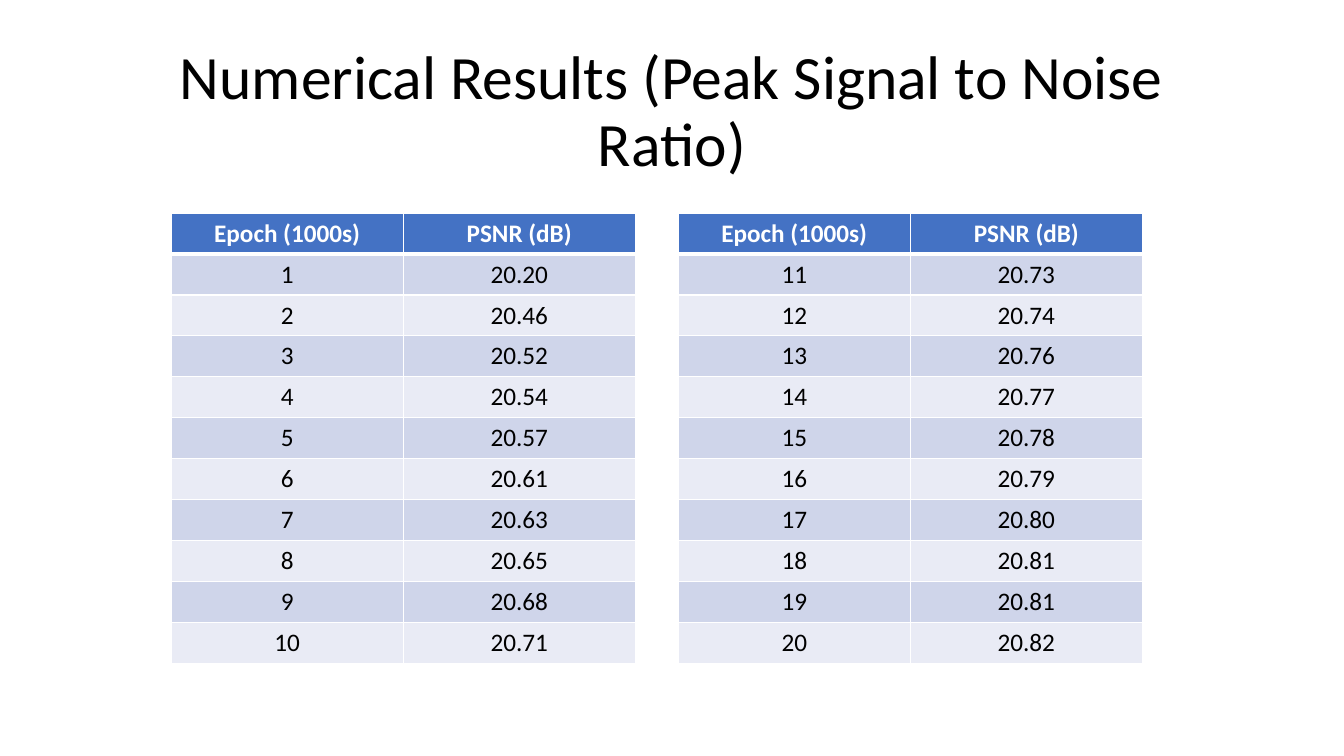
from dataclasses import dataclass

from lxml.etree import SubElement
from pptx import Presentation
from pptx.dml.color import RGBColor
from pptx.enum.text import MSO_ANCHOR, MSO_AUTO_SIZE, PP_ALIGN
from pptx.oxml.ns import qn
from pptx.util import Emu, Pt

FONT = "Calibri"
BLACK, WHITE = "000000", "FFFFFF"
HEADER_FILL = "4472C4"
BAND_FILLS = ("CFD5EA", "E9EBF5")
HEADINGS = ("Epoch (1000s)", "PSNR (dB)")
TABLE_TOP, COLUMN_WIDTH, ROW_HEIGHT = 203, 221, 39


@dataclass(frozen=True)
class EpochTable:
    left: int
    first_epoch: int
    psnr: tuple[str, ...]


EPOCH_TABLES = (
    EpochTable(163, 1, ("20.20", "20.46", "20.52", "20.54", "20.57",
                        "20.61", "20.63", "20.65", "20.68", "20.71")),
    EpochTable(646, 11, ("20.73", "20.74", "20.76", "20.77", "20.78",
                         "20.79", "20.80", "20.81", "20.81", "20.82")),
)


def px(length: int) -> Emu:
    return Emu(length * 9525)


def color(hex_code: str) -> RGBColor:
    return RGBColor.from_string(hex_code)


def format_text(paragraph, size: int, text_color: str, bold: bool = False) -> None:
    paragraph.alignment = PP_ALIGN.CENTER
    for run in paragraph.runs:
        run.font.name = FONT
        run.font.size = Pt(size)
        run.font.bold = bold
        run.font.color.rgb = color(text_color)


def add_borders(cell, top: int, bottom: int) -> None:
    """Draw white borders, with the top and bottom widths in points."""
    properties = cell._tc.get_or_add_tcPr()
    for side, width in (("L", 1), ("R", 1), ("T", top), ("B", bottom)):
        border = SubElement(properties, qn(f"a:ln{side}"), w=str(Pt(width)))
        fill = SubElement(border, qn("a:solidFill"))
        SubElement(fill, qn("a:srgbClr"), val=WHITE)


def add_title(slide, text: str) -> None:
    title = slide.shapes.title
    title.left, title.top = px(88), px(38)
    title.width, title.height = px(1104), px(139)
    frame = title.text_frame
    frame.text = text
    frame.word_wrap = True
    frame.auto_size = MSO_AUTO_SIZE.NONE
    frame.vertical_anchor = MSO_ANCHOR.MIDDLE
    frame.paragraphs[0].line_spacing = 0.9
    format_text(frame.paragraphs[0], 44, BLACK)


def add_epoch_table(slide, epochs: EpochTable) -> None:
    numbered = enumerate(epochs.psnr, epochs.first_epoch)
    rows = [HEADINGS, *((str(epoch), psnr) for epoch, psnr in numbered)]
    table = slide.shapes.add_table(
        len(rows), len(HEADINGS), px(epochs.left), px(TABLE_TOP),
        px(COLUMN_WIDTH * len(HEADINGS)), px(ROW_HEIGHT * len(rows))).table
    for column in table.columns:
        column.width = px(COLUMN_WIDTH)
    for row_index, values in enumerate(rows):
        is_header = row_index == 0
        table.rows[row_index].height = px(ROW_HEIGHT)
        fill = HEADER_FILL if is_header else BAND_FILLS[(row_index - 1) % 2]
        for column_index, value in enumerate(values):
            cell = table.cell(row_index, column_index)
            add_borders(cell, top=3 if row_index == 1 else 1,
                        bottom=3 if is_header else 1)
            cell.fill.solid()
            cell.fill.fore_color.rgb = color(fill)
            cell.text_frame.text = value
            format_text(cell.text_frame.paragraphs[0], 18,
                        WHITE if is_header else BLACK, bold=is_header)


def main() -> None:
    presentation = Presentation()
    presentation.slide_width, presentation.slide_height = px(1280), px(720)
    title_only = presentation.slide_layouts[5]
    slide = presentation.slides.add_slide(title_only)
    add_title(slide, "Numerical Results (Peak Signal to Noise Ratio)")
    for epochs in EPOCH_TABLES:
        add_epoch_table(slide, epochs)
    presentation.save("out.pptx")


if __name__ == "__main__":
    main()
